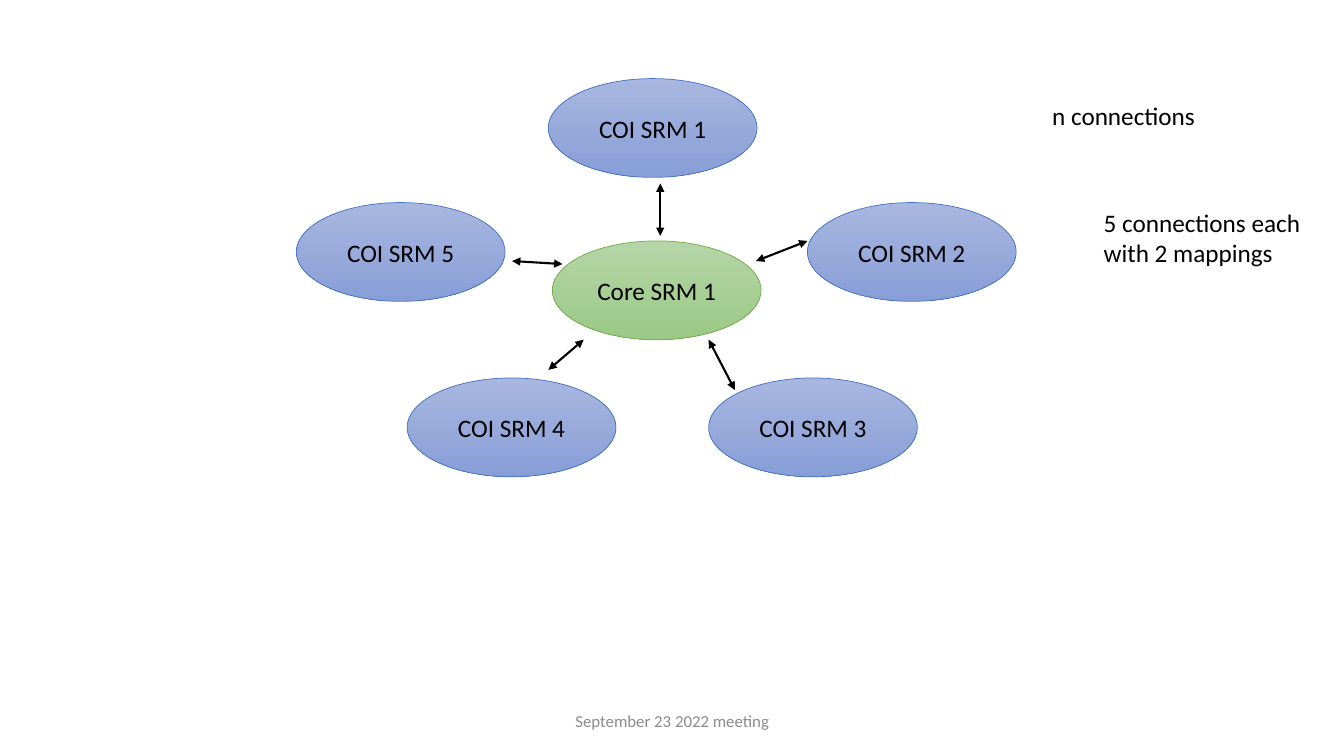
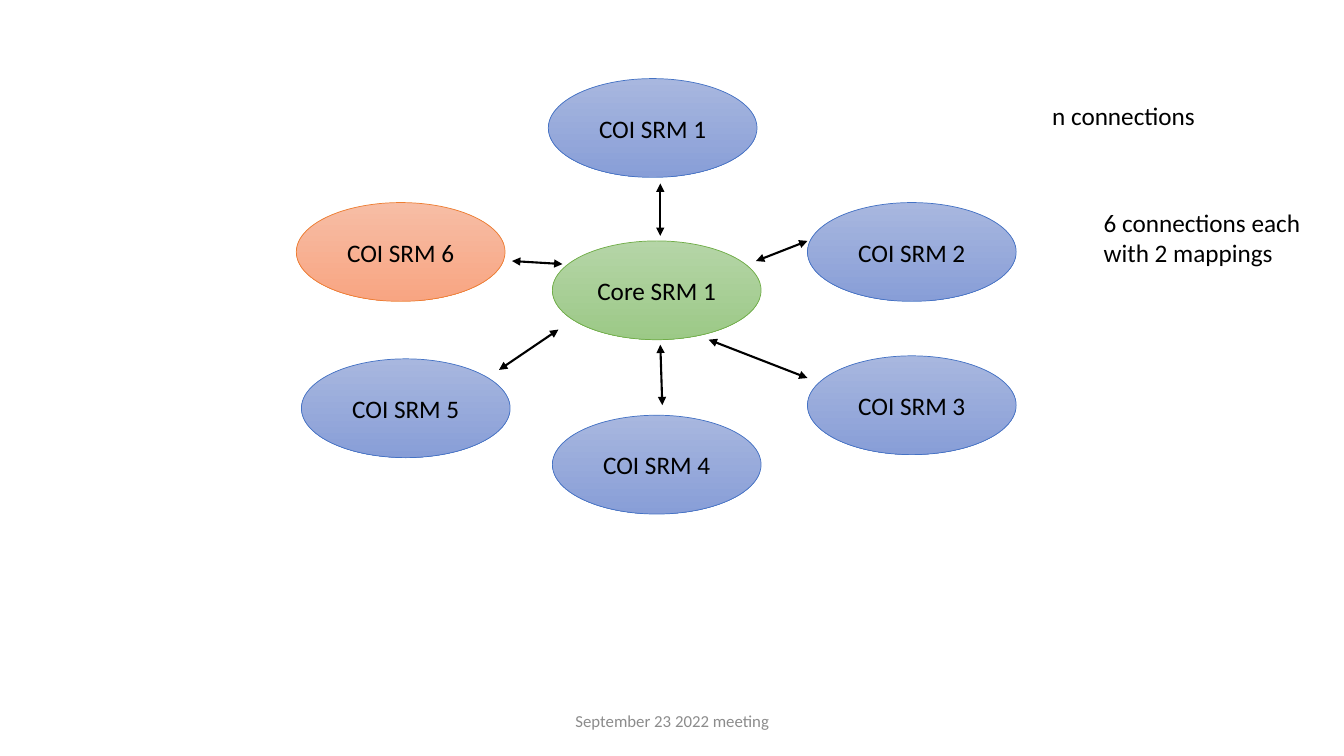
from lxml.etree import SubElement
from pptx import Presentation
from pptx.dml.color import RGBColor
from pptx.enum.shapes import MSO_CONNECTOR, MSO_SHAPE
from pptx.enum.text import MSO_ANCHOR, PP_ALIGN
from pptx.oxml.ns import qn
from pptx.util import Inches, Pt

BLACK = RGBColor(0x00, 0x00, 0x00)
GREY = RGBColor(0x8C, 0x8C, 0x8C)
BLUE = (RGBColor(0xA8, 0xB7, 0xDF), RGBColor(0x88, 0x9E, 0xD7), RGBColor(0x44, 0x72, 0xC4))
GREEN = (RGBColor(0xB5, 0xD5, 0xA7), RGBColor(0x9C, 0xC9, 0x87), RGBColor(0x70, 0xAD, 0x47))
ORANGE = (RGBColor(0xF7, 0xBD, 0xA5), RGBColor(0xF8, 0xA5, 0x82), RGBColor(0xED, 0x7D, 0x31))
FONT = "Calibri"

deck = Presentation()
deck.slide_width, deck.slide_height = Inches(13.33), Inches(7.5)


def place(*percents):
    sides = (deck.slide_width, deck.slide_height) * 2
    return [int(side * percent / 100) for side, percent in zip(sides, percents)]


def write(frame, text, size=18, color=BLACK, align=PP_ALIGN.LEFT):
    frame.text = text
    for paragraph in frame.paragraphs:
        paragraph.alignment = align
        paragraph.font.name = FONT
        paragraph.font.size = Pt(size)
        paragraph.font.color.rgb = color


NODE_SIZE = (15.53, 13.07)
LEFT, CENTRE, RIGHT = 22.05, 41.1, 60.08
UPPER_ROW = 26.8

shared_nodes = [
    ("COI SRM 1", 40.8, 10.4, BLUE),
    ("COI SRM 2", RIGHT, UPPER_ROW, BLUE),
    ("Core SRM 1", CENTRE, 31.87, GREEN),
]
shared_arrows = [
    (38.1, 34.53, 41.85, 34.93),
    (60.08, 31.87, 56.25, 34.53),
    (49.13, 24.27, 49.13, 31.2),
]
five_nodes = [
    ("COI SRM 3", 52.73, 50, BLUE),
    ("COI SRM 4", 30.3, 50, BLUE),
    ("COI SRM 5", LEFT, UPPER_ROW, BLUE),
]
five_arrows = [
    (52.73, 44.93, 54.68, 51.6),
    (43.43, 44.93, 40.8, 48.93),
]
six_nodes = [
    ("COI SRM 3", RIGHT, 47.07, BLUE),
    ("COI SRM 4", CENTRE, 54.93, BLUE),
    ("COI SRM 5", 22.43, 47.47, BLUE),
    ("COI SRM 6", LEFT, UPPER_ROW, ORANGE),
]
six_arrows = [
    (52.73, 44.93, 60.08, 50),
    (49.13, 45.6, 49.28, 53.6),
    (41.55, 43.6, 37.13, 48.93),
]

for count, nodes, arrows in ((5, five_nodes, five_arrows), (6, six_nodes, six_arrows)):
    slide = deck.slides.add_slide(deck.slide_layouts[6])

    for label, left, top, (light, dark, outline) in shared_nodes + nodes:
        node = slide.shapes.add_shape(MSO_SHAPE.OVAL, *place(left, top, *NODE_SIZE))
        node.shadow.inherit = False
        node.fill.gradient()
        node.fill.gradient_angle = 270
        for stop, color in zip(node.fill.gradient_stops, (light, dark)):
            stop.color.rgb = color
        node.line.color.rgb = outline
        node.line.width = Pt(0.5)
        write(node.text_frame, label, align=PP_ALIGN.CENTER)

    for ends in shared_arrows + arrows:
        arrow = slide.shapes.add_connector(MSO_CONNECTOR.STRAIGHT, *place(*ends))
        arrow.line.color.rgb = BLACK
        arrow.line.width = Pt(1.5)
        outline = arrow.line._get_or_add_ln()
        for end in ("a:headEnd", "a:tailEnd"):
            SubElement(outline, qn(end), type="triangle")
        SubElement(outline.getparent(), qn("a:effectLst"))

    for text, area in (
        ("n connections", (77.55, 12.67, 12.53, 5.33)),
        (f"{count} connections each\nwith 2 mappings", (81.38, UPPER_ROW, 16.35, 9.47)),
    ):
        note = slide.shapes.add_textbox(*place(*area)).text_frame
        note.word_wrap = False
        write(note, text)

    footer = slide.shapes.add_textbox(*place(33.15, 92.67, 33.75, 5.33)).text_frame
    footer.word_wrap = True
    footer.vertical_anchor = MSO_ANCHOR.MIDDLE
    write(footer, "September 23 2022 meeting", 12, GREY, PP_ALIGN.CENTER)

deck.save("out.pptx")
